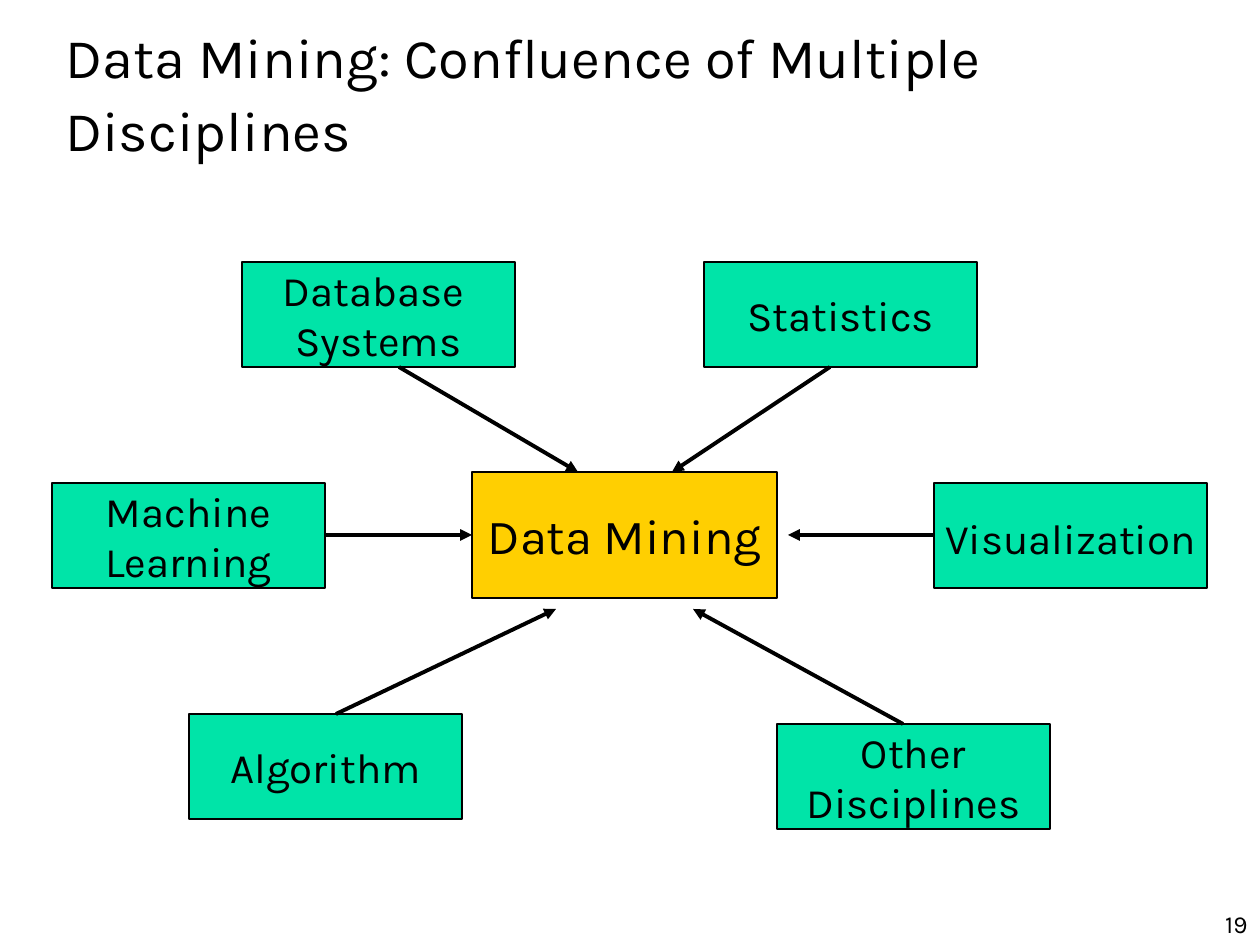
"""Build the slide showing the disciplines that flow into data mining."""
import pptx
import pptx.dml.color
import pptx.enum.shapes
import pptx.enum.text
import pptx.oxml
import pptx.util

RGBColor = pptx.dml.color.RGBColor
ALIGN = pptx.enum.text.PP_ALIGN
ANCHOR = pptx.enum.text.MSO_ANCHOR

BLACK = RGBColor(0x00, 0x00, 0x00)
GOLD = RGBColor(0xFF, 0xCF, 0x01)
GREEN = RGBColor(0x00, 0xE4, 0xA8)
FONT = "Karla"
PX_PER_INCH = 126

TITLE = "Data Mining: Confluence of Multiple Disciplines"
PAGE_NUMBER = "19"
HUB = ("Data Mining", (472, 472, 305, 126))
DISCIPLINE_SIZE = (273, 105)
DISCIPLINES = [
    {"lines": ["Database ", "Systems"], "at": (242, 262), "arrow": (399, 367, 578, 472)},
    {"lines": ["Statistics"], "at": (704, 262), "arrow": (830, 367, 672, 472)},
    {"lines": ["Other", "Disciplines"], "at": (777, 724), "arrow": (903, 724, 693, 609)},
    {"lines": ["Algorithm"], "at": (189, 714), "arrow": (336, 714, 556, 609)},
    {"lines": ["Machine", "Learning"], "at": (52, 483), "arrow": (325, 535, 472, 535)},
    {"lines": ["Visualization"], "at": (934, 483), "arrow": (934, 535, 788, 535),
     "line_spacing": 1.1, "space_before": 6},
]


def px(*lengths):
    return [round(length * 914400 / PX_PER_INCH) for length in lengths]


def write(shape, lines, size, align, anchor, wrap=True):
    frame = shape.text_frame
    frame.word_wrap = wrap
    frame.vertical_anchor = anchor
    frame.text = "\n".join(lines)
    for para in frame.paragraphs:
        para.alignment = align
        para.font.name = FONT
        para.font.size = pptx.util.Pt(size)
        para.font.color.rgb = BLACK
    return frame.paragraphs


def add_box(page, place, lines, size, fill):
    box = page.shapes.add_shape(pptx.enum.shapes.MSO_SHAPE.RECTANGLE, *px(*place))
    box.shadow.inherit = False
    box.fill.solid()
    box.fill.fore_color.rgb = fill
    box.line.color.rgb = BLACK
    box.line.width = pptx.util.Pt(0.75)
    return write(box, lines, size, ALIGN.CENTER, ANCHOR.MIDDLE, wrap=False)


def add_arrow(page, ends):
    arrow = page.shapes.add_connector(pptx.enum.shapes.MSO_CONNECTOR.STRAIGHT, *px(*ends))
    arrow.line.color.rgb = BLACK
    arrow.line.width = pptx.util.Pt(2.25)
    head = pptx.oxml.parse_xml(
        '<a:tailEnd xmlns:a="http://schemas.openxmlformats.org/drawingml/2006/main" type="triangle"/>')
    arrow.line._get_or_add_ln().append(head)
    properties = arrow._element.spPr
    properties.append(properties.makeelement(pptx.oxml.ns.qn("a:effectLst"), {}))


def main():
    deck = pptx.Presentation()
    deck.slide_width, deck.slide_height = px(1260, 945)
    page = deck.slides.add_slide(deck.slide_layouts[6])

    title = page.shapes.add_textbox(*px(53, 37, 1187, 105))
    for para in write(title, [TITLE], 32, ALIGN.LEFT, ANCHOR.MIDDLE):
        para.line_spacing = pptx.util.Pt(42)

    hub_name, hub_place = HUB
    add_box(page, hub_place, [hub_name], 28, GOLD)
    for discipline in DISCIPLINES:
        place = discipline["at"] + DISCIPLINE_SIZE
        for para in add_box(page, place, discipline["lines"], 24, GREEN):
            para.line_spacing = discipline.get("line_spacing")
            para.space_before = pptx.util.Pt(discipline.get("space_before", 0))
    for discipline in DISCIPLINES:
        add_arrow(page, discipline["arrow"])

    number = page.shapes.add_textbox(*px(998, 882, 262, 63))
    write(number, [PAGE_NUMBER], 14, ALIGN.RIGHT, ANCHOR.BOTTOM)
    deck.save("out.pptx")


if __name__ == "__main__":
    main()
